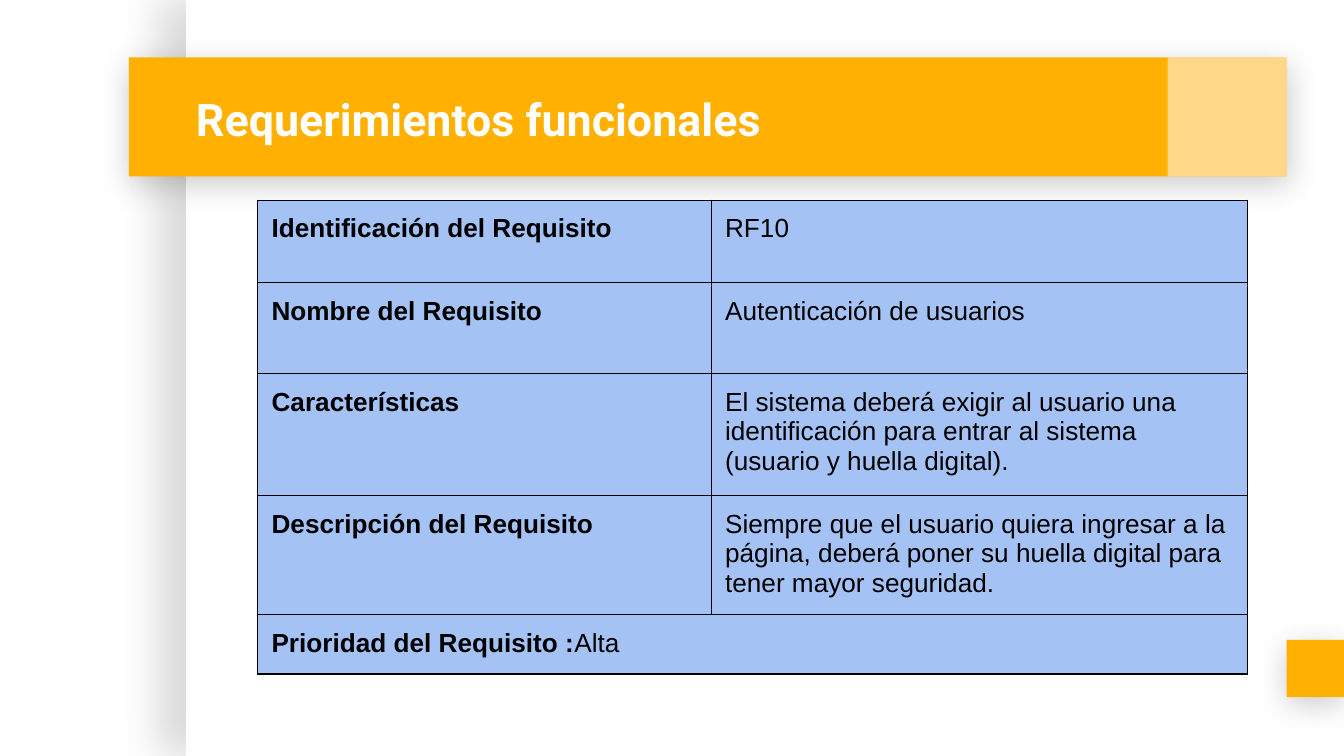
from dataclasses import dataclass

from lxml.etree import SubElement
from pptx import Presentation
from pptx.dml.color import RGBColor
from pptx.enum.shapes import MSO_SHAPE as Shape
from pptx.enum.text import MSO_ANCHOR as Anchor
from pptx.oxml.ns import qn
from pptx.util import Pt

PX = 9525


@dataclass(frozen=True)
class Theme:
    white: str = "FFFFFF"
    black: str = "000000"
    accent: str = "FFB000"
    cell: str = "A4C2F4"
    title_font: str = "Roboto"
    body_font: str = "Arial"
    title_size: int = 24
    body_size: int = 14
    border: float = 0.75
    inset: int = 10


THEME = Theme()
SOFT_SHADOW = dict(alpha=20, blur=16.9, distance=3.8, angle=90)
SIDE_SHADOW = dict(alpha=15, blur=22.5, distance=15, angle=180)


def emu(*lengths):
    return [length * PX for length in lengths]


def add_color(parent, color, alpha=100):
    node = SubElement(parent, qn("a:srgbClr"), val=color)
    if alpha < 100:
        SubElement(node, qn("a:alpha"), val=str(alpha * 1000))


def add_shadow(shape, alpha, blur, distance, angle):
    effects = shape._element.spPr.find(qn("a:effectLst"))
    shadow = SubElement(
        effects, qn("a:outerShdw"), blurRad=str(Pt(blur)), dist=str(Pt(distance)),
        dir=str(angle * 60000), algn="bl", rotWithShape="0",
    )
    add_color(shadow, THEME.black, alpha)


def add_block(slide, box, color, alpha=100, shadow=None):
    shape = slide.shapes.add_shape(Shape.RECTANGLE, *emu(*box))
    shape.shadow.inherit = False
    shape.line.fill.background()
    shape.fill.solid()
    shape.fill.fore_color.rgb = RGBColor.from_string(color)
    if alpha < 100:
        fill = shape._element.spPr.find(qn("a:solidFill"))
        fill.clear()
        add_color(fill, color, alpha)
    if shadow:
        add_shadow(shape, **shadow)


def add_text(paragraph, text, *, size=THEME.body_size, font=THEME.body_font,
             color=THEME.black, bold=False):
    run = paragraph.add_run()
    run.text = text
    run.font.size = Pt(size)
    run.font.name = font
    run.font.bold = bold
    run.font.color.rgb = RGBColor.from_string(color)


def set_insets(target):
    inset = THEME.inset * PX
    target.margin_left = target.margin_right = inset
    target.margin_top = target.margin_bottom = inset


def add_background(slide, box):
    left, top, width, height = box
    margin, marker = 133, 41
    add_block(slide, (left + margin, top, width - margin, height),
              THEME.white, shadow=SIDE_SHADOW)
    add_block(slide, (left + width - marker, top + 457, marker, marker),
              THEME.accent, shadow=SOFT_SHADOW)


def add_banner(slide, box, title):
    left, top, width, height = box
    add_block(slide, box, THEME.accent, shadow=SOFT_SHADOW)
    add_block(slide, (left + width - height, top, height, height), THEME.white, alpha=53)
    text_box = slide.shapes.add_textbox(*emu(left + 38, top + 1, 707, height))
    frame = text_box.text_frame
    frame.word_wrap = True
    frame.vertical_anchor = Anchor.MIDDLE
    set_insets(frame)
    add_text(frame.paragraphs[0], title, size=THEME.title_size,
             font=THEME.title_font, color=THEME.white, bold=True)


def style_cell(cell):
    set_insets(cell)
    properties = cell._tc.get_or_add_tcPr()
    for side in ("lnL", "lnR", "lnT", "lnB"):
        line = SubElement(properties, qn(f"a:{side}"), w=str(Pt(THEME.border)))
        add_color(SubElement(line, qn("a:solidFill")), THEME.black)
    cell.fill.solid()
    cell.fill.fore_color.rgb = RGBColor.from_string(THEME.cell)


def add_grid(slide, box, column_widths, row_heights, rows):
    frame = slide.shapes.add_table(len(rows), len(column_widths), *emu(*box))
    table = frame.table
    table.first_row = table.horz_banding = False
    for column, width in zip(table.columns, column_widths):
        column.width = width * PX
    for row, height, contents in zip(table.rows, row_heights, rows):
        row.height = height * PX
        for cell, runs in zip(row.cells, contents):
            style_cell(cell)
            for text, bold in runs:
                add_text(cell.text_frame.paragraphs[0], text, bold=bold)


def add_requirement(slide, box, fields, priority):
    left, top, width, height = box
    label_width, priority_height = 324, 40
    row_heights = [59, 65, 86, 86]
    fields_height = height - priority_height
    rows = [[[(label, True)], [(value, False)]] for label, value in fields]
    add_grid(slide, (left, top, width, fields_height),
             [label_width, width - label_width], row_heights, rows)
    label, value = priority
    add_grid(slide, (left, top + fields_height, width, priority_height),
             [width], [priority_height], [[[(label, True), (value, False)]]])


def main():
    presentation = Presentation()
    presentation.slide_width, presentation.slide_height = emu(960, 540)
    slide = presentation.slides.add_slide(presentation.slide_layouts[6])
    add_background(slide, (0, 0, 960, 540))
    add_banner(slide, (92, 41, 827, 85), "Requerimientos funcionales")
    fields = [
        ("Identificación del Requisito", "RF10"),
        ("Nombre del Requisito", "Autenticación de usuarios"),
        ("Características",
         "El sistema deberá exigir al usuario una identificación para entrar "
         "al sistema (usuario y huella digital)."),
        ("Descripción del Requisito",
         "Siempre que el usuario quiera ingresar a la página, deberá poner su "
         "huella digital para tener mayor seguridad."),
    ]
    add_requirement(slide, (184, 143, 707, 336), fields,
                    ("Prioridad del Requisito :", "Alta"))
    presentation.save("out.pptx")


if __name__ == "__main__":
    main()
